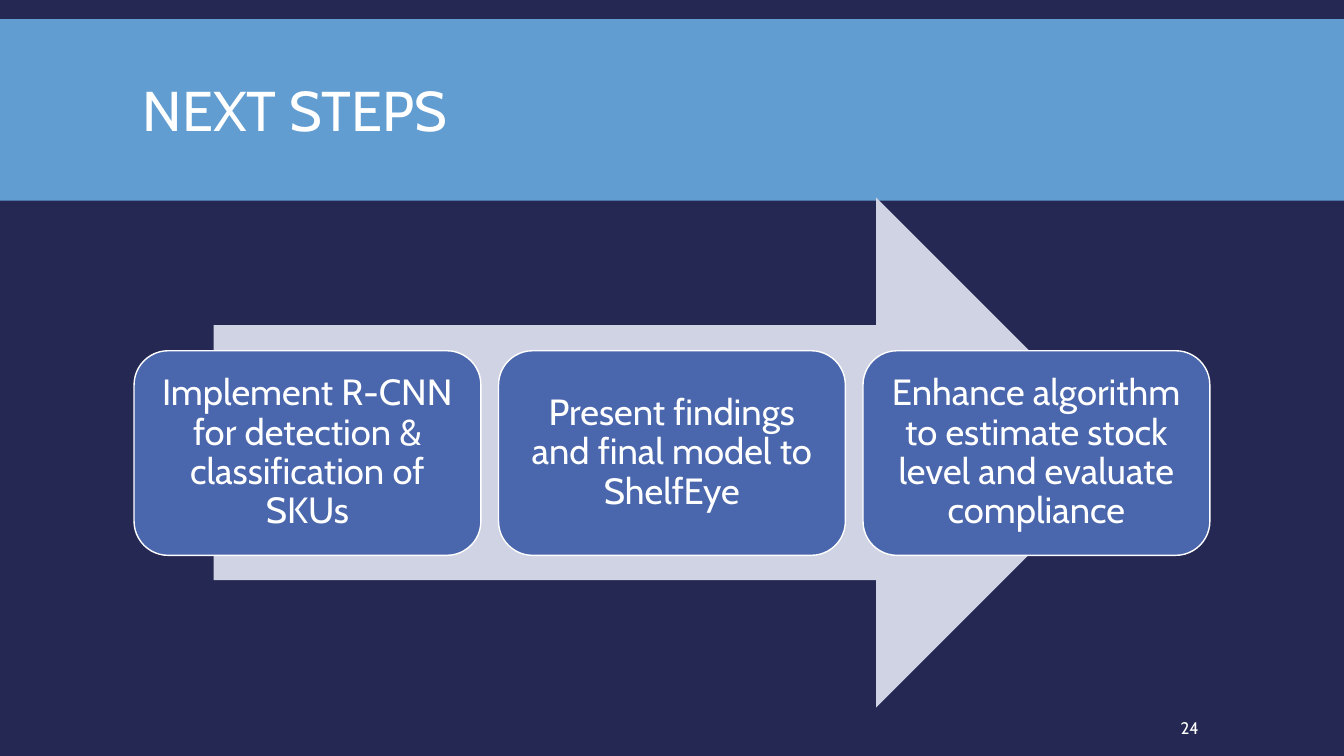
from dataclasses import dataclass

from pptx import Presentation
from pptx.dml.color import RGBColor
from pptx.enum.shapes import MSO_SHAPE
from pptx.enum.text import MSO_ANCHOR, PP_ALIGN
from pptx.shapes.autoshape import Shape
from pptx.slide import Slide
from pptx.util import Inches, Pt

NAVY = RGBColor(0x24, 0x28, 0x52)
SKY = RGBColor(0x62, 0x9D, 0xD1)
BLUE = RGBColor(0x4A, 0x66, 0xAC)
PALE = RGBColor(0xD0, 0xD3, 0xE3)
WHITE = RGBColor(0xFF, 0xFF, 0xFF)
FONT = "Cabin"

ROW_LEFT, ROW_RIGHT, ROW_TOP = 1.33, 12.0, 3.48
STEP_WIDTH, STEP_HEIGHT = 3.44, 2.03
STEPS = [
    "Implement R-CNN for detection & classification of SKUs",
    "Present findings and final model to ShelfEye",
    "Enhance algorithm to estimate stock level and evaluate compliance",
]


@dataclass(frozen=True)
class Box:
    left: float
    top: float
    width: float
    height: float

    def lengths(self) -> list[int]:
        return [Inches(v) for v in (self.left, self.top, self.width, self.height)]


@dataclass(frozen=True)
class TextStyle:
    size: int
    spacing: float = 1.0
    align: PP_ALIGN = PP_ALIGN.LEFT
    insets: tuple[float, float, float, float] = (0.1, 0.05, 0.1, 0.05)


TITLE = TextStyle(40, 0.85)
NUMBER = TextStyle(12, insets=(0.05, 0.05, 0.1, 0.05))
STEP = TextStyle(26, 0.9, PP_ALIGN.CENTER, (0.11, 0.11, 0.11, 0.11))


def add_filled(s: Slide, kind: MSO_SHAPE, box: Box, color: RGBColor) -> Shape:
    sp = s.shapes.add_shape(kind, *box.lengths())
    sp.shadow.inherit = False
    sp.fill.solid()
    sp.fill.fore_color.rgb = color
    sp.line.fill.background()
    return sp


def write(sp: Shape, text: str, style: TextStyle) -> None:
    tf = sp.text_frame
    tf.word_wrap = True
    tf.vertical_anchor = MSO_ANCHOR.MIDDLE
    tf.margin_left, tf.margin_top, tf.margin_right, tf.margin_bottom = map(
        Inches, style.insets
    )
    p = tf.paragraphs[0]
    p.alignment = style.align
    p.line_spacing = style.spacing
    r = p.add_run()
    r.text = text
    r.font.name = FONT
    r.font.size = Pt(style.size)
    r.font.color.rgb = WHITE


def add_step(s: Slide, box: Box, text: str) -> None:
    sp = add_filled(s, MSO_SHAPE.ROUNDED_RECTANGLE, box, BLUE)
    sp.line.color.rgb = WHITE
    sp.line.width = Pt(1)
    write(sp, text, STEP)


def main() -> None:
    prs = Presentation()
    prs.slide_width = Inches(13.33)
    prs.slide_height = Inches(7.5)
    s = prs.slides.add_slide(prs.slide_layouts[6])
    s.background.fill.solid()
    s.background.fill.fore_color.rgb = NAVY

    add_filled(s, MSO_SHAPE.RECTANGLE, Box(0, 0.19, 13.33, 1.8), SKY)
    title = s.shapes.add_textbox(*Box(1.32, 0.31, 10.7, 1.65).lengths())
    write(title, "NEXT STEPS", TITLE)
    number = s.shapes.add_textbox(*Box(11.66, 7.02, 1.03, 0.4).lengths())
    write(number, "24", NUMBER)

    add_filled(s, MSO_SHAPE.RIGHT_ARROW, Box(2.12, 1.96, 9.1, 5.06), PALE)
    pitch = (ROW_RIGHT - ROW_LEFT - STEP_WIDTH) / (len(STEPS) - 1)
    for i, text in enumerate(STEPS):
        box = Box(ROW_LEFT + i * pitch, ROW_TOP, STEP_WIDTH, STEP_HEIGHT)
        add_step(s, box, text)

    prs.save("out.pptx")


if __name__ == "__main__":
    main()
